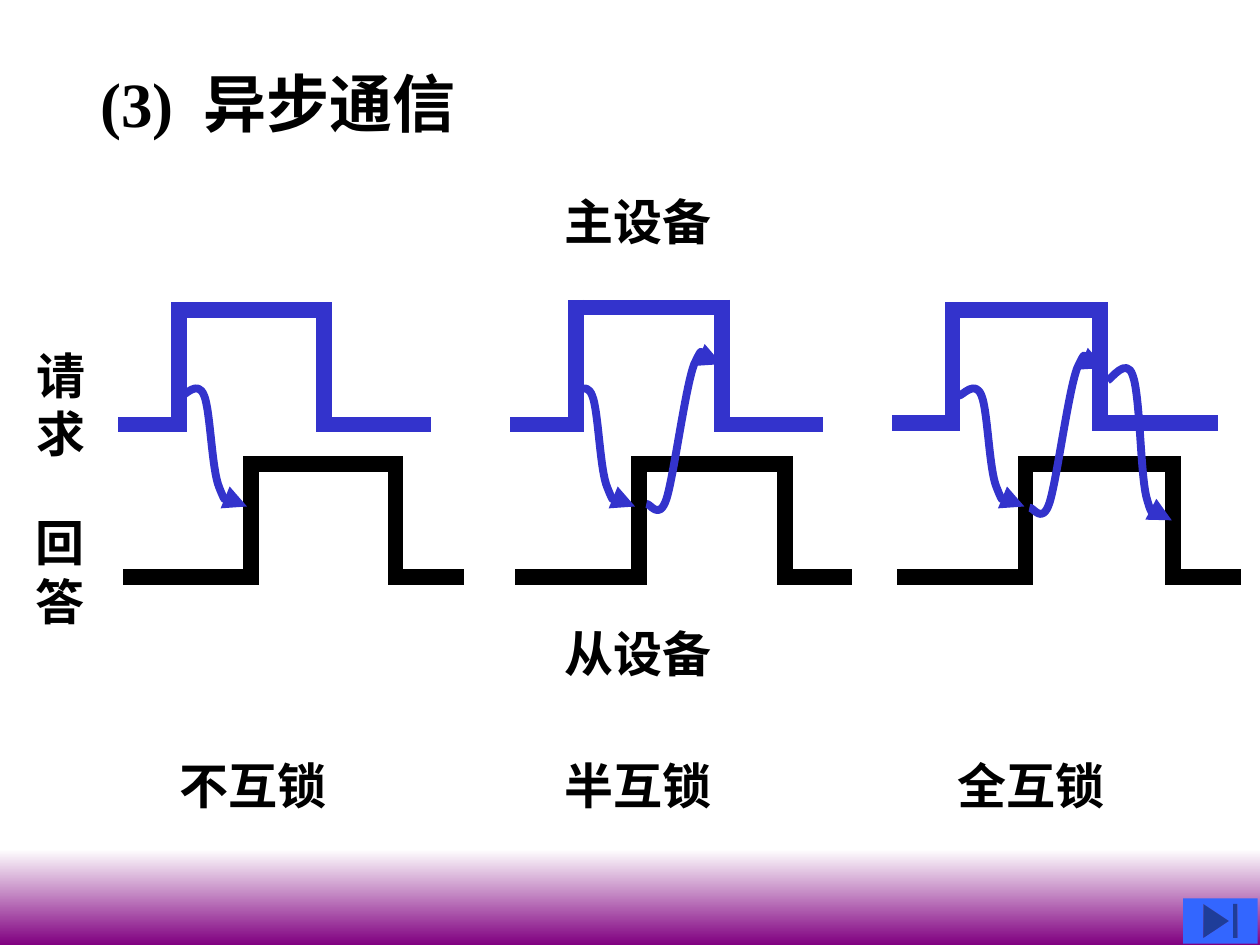
from lxml.etree import SubElement
from pptx import Presentation
from pptx.dml.color import RGBColor
from pptx.enum.shapes import MSO_CONNECTOR, MSO_SHAPE
from pptx.enum.text import MSO_AUTO_SIZE
from pptx.oxml.ns import qn
from pptx.util import Inches, Pt

HUES = {"ask": "3333CC", "reply": "000000", "text": "000000",
        "pale": "FFFFFF", "band": "800080", "button": "3366FF"}
FONT = "Times New Roman"
EDGE = 0.06

FIRST = [(0, 0), (0.03, 0), (0.13, -0.13), (0.18, 0), (0.23, 0.12),
         (0.24, 0.59), (0.3, 0.73), (0.36, 0.88), (0.47, 0.85), (0.52, 0.88)]
BACK = [(0, 0), (0.03, -0.01), (0.1, 0.14), (0.16, -0.04), (0.22, -0.23),
        (0.31, -0.93), (0.38, -1.11), (0.46, -1.28), (0.57, -1.11), (0.6, -1.11)]
LAST = [(0, 0), (0.03, -0.01), (0.15, -0.19), (0.2, -0.04), (0.26, 0.12),
        (0.26, 0.74), (0.31, 0.93), (0.36, 1.11), (0.48, 1.04), (0.51, 1.07),
        (0.54, 1.1), (0.51, 1.1), (0.51, 1.11)]

PANELS = [
    (0.94, (0, 0.48, 1.63, 2.48), (0.06, 0.97), (0.04, 1.05, 2.2, 2.74),
     [(0.5, 0.74, FIRST)]),
    (4.05, (0, 0.52, 1.68, 2.48), (0.04, 0.97), (0.04, 1.02, 2.18, 2.71),
     [(0.47, 0.74, FIRST), (1.08, 1.6, BACK)]),
    (7.08, (0, 0.48, 1.65, 2.59), (0.06, 0.96), (0.04, 1.06, 2.23, 2.77),
     [(0.53, 0.74, FIRST), (1.09, 1.63, BACK), (1.71, 0.62, LAST)]),
]

LABELS = [
    ((1.33, 5.95, 2.08, 0.57), ["不互锁"]),
    ((4.38, 5.95, 2.37, 0.57), ["半互锁"]),
    ((7.5, 5.95, 2, 0.57), ["全互锁"]),
    ((4.38, 1.47, 2.53, 0.57), ["主设备"]),
    ((4.38, 4.9, 2.95, 0.57), ["从设备"]),
    ((0.19, 2.69, 0.59, 1.04), ["请", "求"]),
    ((0.18, 4.02, 0.59, 1.04), ["回", "答"]),
]


def hue(key):
    """Return the named colour."""
    return RGBColor.from_string(HUES[key])


def label(slide, box, rows, size=28, tab=None):
    """Write bold rows in a text box, with a tab stop if given."""
    frame = slide.shapes.add_textbox(*map(Inches, box)).text_frame
    frame.word_wrap = box[2] > 1 and tab is None
    frame.auto_size = MSO_AUTO_SIZE.SHAPE_TO_FIT_TEXT
    frame.text = "\n".join(rows)
    for para in frame.paragraphs:
        if tab:
            stops = SubElement(para._p.get_or_add_pPr(), qn("a:tabLst"))
            SubElement(stops, qn("a:tab"), pos=str(Inches(tab)), algn="l")
        font = para.font
        font.name, font.size, font.bold = FONT, Pt(size), True
        font.color.rgb = hue("text")


def stroke(slide, start, end, key):
    """Draw one thick straight line."""
    line = slide.shapes.add_connector(
        MSO_CONNECTOR.STRAIGHT, *map(Inches, start + end))
    line.line.color.rgb = hue(key)
    line.line.width = Pt(9)
    SubElement(line._element.spPr, qn("a:effectLst"))


def pulse(slide, left, top, xs, ys, key):
    """Draw a square pulse whose strokes overlap at the corners."""
    low, rise, fall, stop = (left + x for x in xs)
    high, base = (top + y for y in ys)
    for start, end in [
        ((low, base), (rise + EDGE, base)),
        ((rise, high - EDGE), (rise, base + EDGE)),
        ((rise - EDGE, high), (fall + EDGE, high)),
        ((fall, high - EDGE), (fall, base + EDGE)),
        ((fall - EDGE, base), (stop, base)),
    ]:
        stroke(slide, start, end, key)


def arrow(slide, left, top, points):
    """Draw a cubic curve with an arrowhead."""
    spots = [(Inches(left + x), Inches(top + y)) for x, y in points]
    build = slide.shapes.build_freeform(*spots[0])
    build.add_line_segments(spots[1:], close=False)
    curve = build.convert_to_shape()
    curve.shadow.inherit = False
    curve.fill.background()
    curve.line.color.rgb = hue("ask")
    curve.line.width = Pt(4.5)
    SubElement(curve.line._get_or_add_ln(), qn("a:tailEnd"), type="triangle")
    legs = curve._element.xpath(".//a:lnTo")
    trace = legs[0].getparent()
    for i in range(0, len(legs), 3):
        bend = SubElement(trace, qn("a:cubicBezTo"))
        for leg in legs[i:i + 3]:
            bend.append(leg[0])
            trace.remove(leg)


def panel(slide, left, top, ask, level, reply, arrows):
    """Draw one request and reply diagram."""
    pulse(slide, left, top, ask, level, "ask")
    pulse(slide, left, top, reply, (1.28, 2.18), "reply")
    for x, y, points in arrows:
        arrow(slide, left + x, top + y, points)


def footer(slide, left, top, width, height):
    """Draw the gradient band and its end button."""
    band = slide.shapes.add_shape(
        MSO_SHAPE.RECTANGLE, *map(Inches, (left, top, width, height)))
    band.fill.gradient()
    band.fill.gradient_angle = 270
    for stop, key in zip(band.fill.gradient_stops, ("pale", "band")):
        stop.color.rgb = hue(key)
    button = slide.shapes.add_shape(
        MSO_SHAPE.ACTION_BUTTON_END,
        *map(Inches, (left + width - 0.61, top + 0.39, 0.59, 0.36)))
    button.fill.solid()
    button.fill.fore_color.rgb = hue("button")
    for shape in (band, button):
        shape.shadow.inherit = False
        shape.line.fill.background()


def main():
    """Build and save the slide."""
    deck = Presentation()
    deck.slide_width, deck.slide_height = Inches(10), Inches(7.5)
    slide = deck.slides.add_slide(deck.slide_layouts[6])
    footer(slide, 0, 6.74, 10, 0.76)
    label(slide, (0.7, 0.46, 3.03, 0.7), ["(3)\t异步通信"], 36, 0.82)
    for box, rows in LABELS:
        label(slide, box, rows)
    for left, *parts in PANELS:
        panel(slide, left, 2.4, *parts)
    deck.save("out.pptx")


if __name__ == "__main__":
    main()
